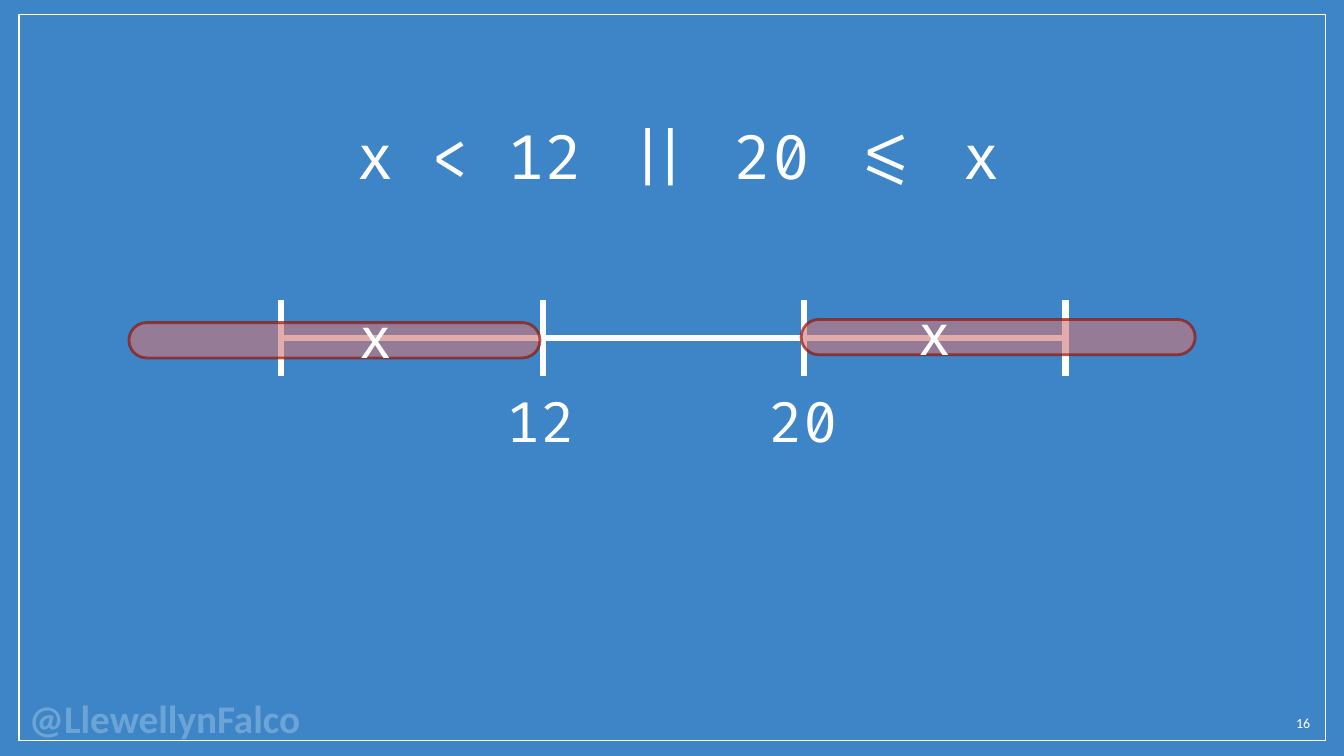
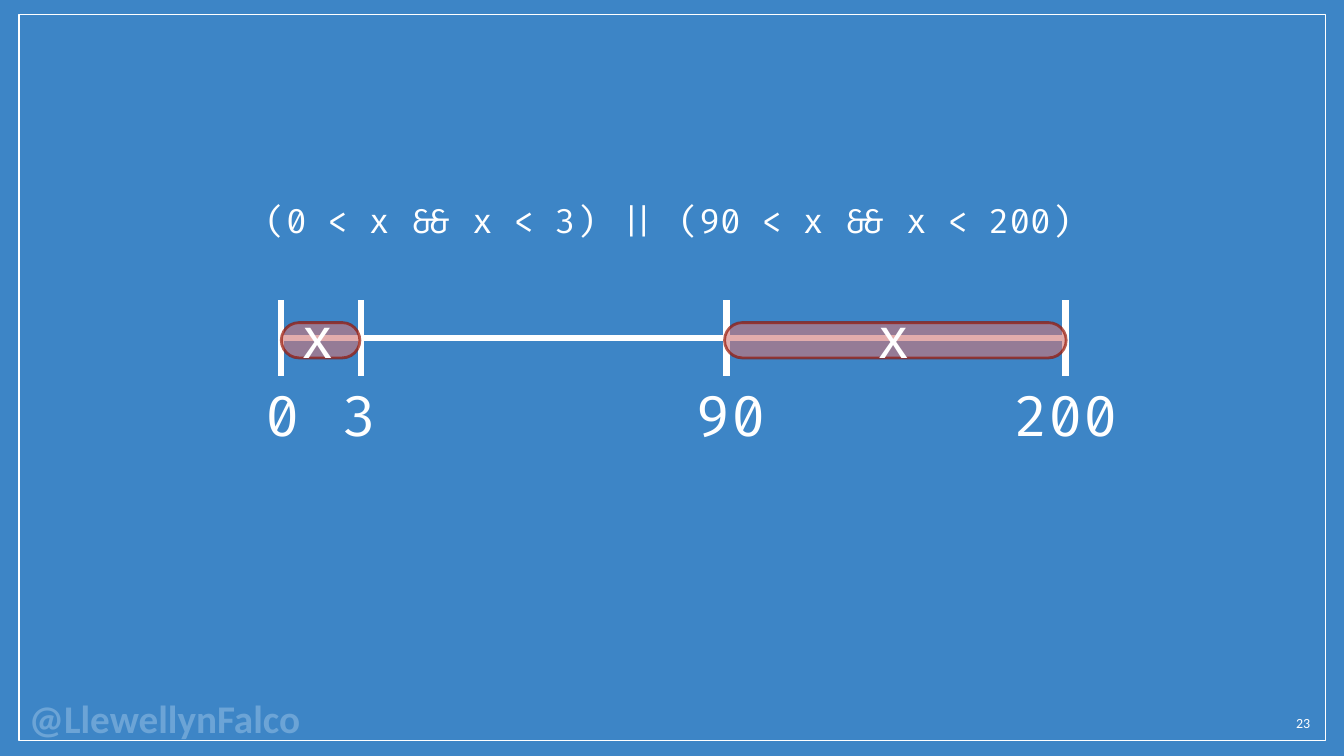
from pptx import Presentation
from pptx import util as u
from pptx.dml.color import RGBColor
from pptx.enum import shapes, text
from pptx.oxml.ns import qn
from lxml import etree

COLORS = {
    "background": "3D85C6",
    "white": "FFFFFF",
    "handle": "6CA4D6",
    "range": "D07576",
    "range_edge": "941100",
}

INSET = u.Cm(0.25)
FRAME_FORMAT = {
    "margin_left": INSET,
    "margin_right": INSET,
    "margin_top": INSET,
    "margin_bottom": INSET,
    "word_wrap": True,
    "auto_size": text.MSO_AUTO_SIZE.NONE,
    "vertical_anchor": text.MSO_ANCHOR.TOP,
}
CODE = {"name": "Fira Code", "size": u.Pt(40), "bold": False}
HANDLE = {"name": "Calibri", "size": u.Pt(28), "bold": True}
NUMBER = {"name": "Calibri", "size": u.Pt(10), "bold": False}

# All boxes are left, top, width, height in centimetres
AXIS_BOX = (7.09, 7.57, 19.76, 1.9)
LABEL_HEIGHT = 2.16

# Ticks, labels and ranges are offsets from the left end of the axis
SLIDES = [
    {
        "number": "16",
        "expression": "x < 12 || 20 <= x",
        "title_box": (7.09, 2.72, 20.02, 2.16),
        "title_size": 44,
        "ticks": [AXIS_BOX[2] * step / 3 for step in range(4)],
        "labels": [("12", 6.55), ("20", 13.17)],
        "label_gap": 0.03,
        # left, width, centre of the x, vertical shift
        "ranges": [(-3.84, 10.36, 2.37, 0), (13.1, 9.93, 16.47, -0.08)],
    },
    {
        "number": "23",
        "expression": "(0 < x && x < 3) || (90 < x && x < 200)",
        "title_box": (4.52, 4.78, 24.66, 4.8),
        "title_size": 24,
        "ticks": [0, 2.01, 11.22, AXIS_BOX[2]],
        "labels": [("0", 0.04), ("3", 1.97), ("90", 11.34), ("200", 19.78)],
        "label_gap": -0.13,
        "ranges": [(0, 1.98, 0.92, 0), (11.17, 8.61, 15.43, 0)],
    },
]


def color(name):
    return RGBColor.from_string(COLORS[name])


def set_all(target, values):
    for name, value in values.items():
        setattr(target, name, value)


def in_cm(box):
    return [u.Cm(length) for length in box]


def write(shape, words, font, color_name="white", align=text.PP_ALIGN.CENTER):
    set_all(shape.text_frame, FRAME_FORMAT)
    shape.text_frame.text = words
    paragraph = shape.text_frame.paragraphs[0]
    paragraph.alignment = align
    run_font = paragraph.runs[0].font
    set_all(run_font, font)
    run_font.color.rgb = color(color_name)


def add_text(slide, box, words, *style):
    shape = slide.shapes.add_textbox(*in_cm(box))
    write(shape, words, *style)
    return shape


def add_label(slide, center, top, words):
    width = 1.3 + 0.65 * len(words)
    add_text(slide, (center - width / 2, top, width, LABEL_HEIGHT), words, CODE)


def add_line(slide, *ends):
    line = slide.shapes.add_connector(shapes.MSO_CONNECTOR.STRAIGHT, *in_cm(ends))
    line.line.width = u.Pt(4.5)
    line.line.color.rgb = color("white")
    etree.SubElement(line.element.spPr, qn("a:effectLst"))


def add_range(slide, box):
    """Draw a translucent pill over part of the axis."""
    pill = slide.shapes.add_shape(shapes.MSO_SHAPE.ROUNDED_RECTANGLE, *in_cm(box))
    pill.adjustments[0] = 0.5
    pill.shadow.inherit = False
    pill.fill.solid()
    pill.fill.fore_color.rgb = color("range")
    pill.line.width = u.Pt(2)
    pill.line.color.rgb = color("range_edge")
    paints = pill.element.spPr.iter(qn("a:srgbClr"))
    for paint, opacity in zip(list(paints), (60, 67)):
        etree.SubElement(paint, qn("a:alpha"), val=str(opacity * 1000))


def add_border(slide, box, number):
    """Draw the thin frame with the handle and slide number in its corners."""
    left, top, width, height = box
    right, bottom = left + width, top + height
    border = slide.shapes.add_shape(shapes.MSO_SHAPE.RECTANGLE, *in_cm(box))
    border.shadow.inherit = False
    border.fill.background()
    border.line.width = u.Pt(0.75)
    border.line.color.rgb = color("white")

    handle = add_text(slide, (left, bottom - 1.3, 9.47, 1.45), "@LlewellynFalco",
                      HANDLE, "handle", text.PP_ALIGN.LEFT)
    handle.text_frame.margin_top = handle.text_frame.margin_bottom = u.Cm(0.13)
    add_text(slide, (right - 1.83, bottom - 0.92, 1.7, 1.09), number,
             NUMBER, "white", text.PP_ALIGN.RIGHT)


def add_title(slide, box, expression, size):
    title = slide.shapes.title
    title.left, title.top, title.width, title.height = in_cm(box)
    write(title, expression, {**CODE, "size": u.Pt(size)})


def add_number_line(slide, box, content):
    left, top, width, height = box
    middle, bottom = top + height / 2, top + height

    # Axis and ticks
    add_line(slide, left - 0.08, middle, left + width, middle)
    for tick in content["ticks"]:
        add_line(slide, left + tick, top, left + tick, bottom)

    # Values under the ticks
    for words, center in content["labels"]:
        add_label(slide, left + center, bottom + content["label_gap"], words)

    # Ranges, each marked with an x
    for start, length, center, shift in content["ranges"]:
        add_range(slide, (left + start, top + 0.56 + shift, length, 0.89))
        add_label(slide, left + center, top - 0.2 + shift, "x")


def add_range_slide(presentation, content):
    slide = presentation.slides.add_slide(presentation.slide_layouts[5])
    add_border(slide, (0.48, 0.36, 32.92, 18.31), content["number"])
    add_title(slide, content["title_box"], content["expression"], content["title_size"])
    add_number_line(slide, AXIS_BOX, content)


def main():
    presentation = Presentation()
    presentation.slide_width = u.Cm(33.87)
    presentation.slide_height = u.Cm(19.05)
    background = presentation.slide_master.background.fill
    background.solid()
    background.fore_color.rgb = color("background")
    for content in SLIDES:
        add_range_slide(presentation, content)
    presentation.save("out.pptx")


if __name__ == "__main__":
    main()
